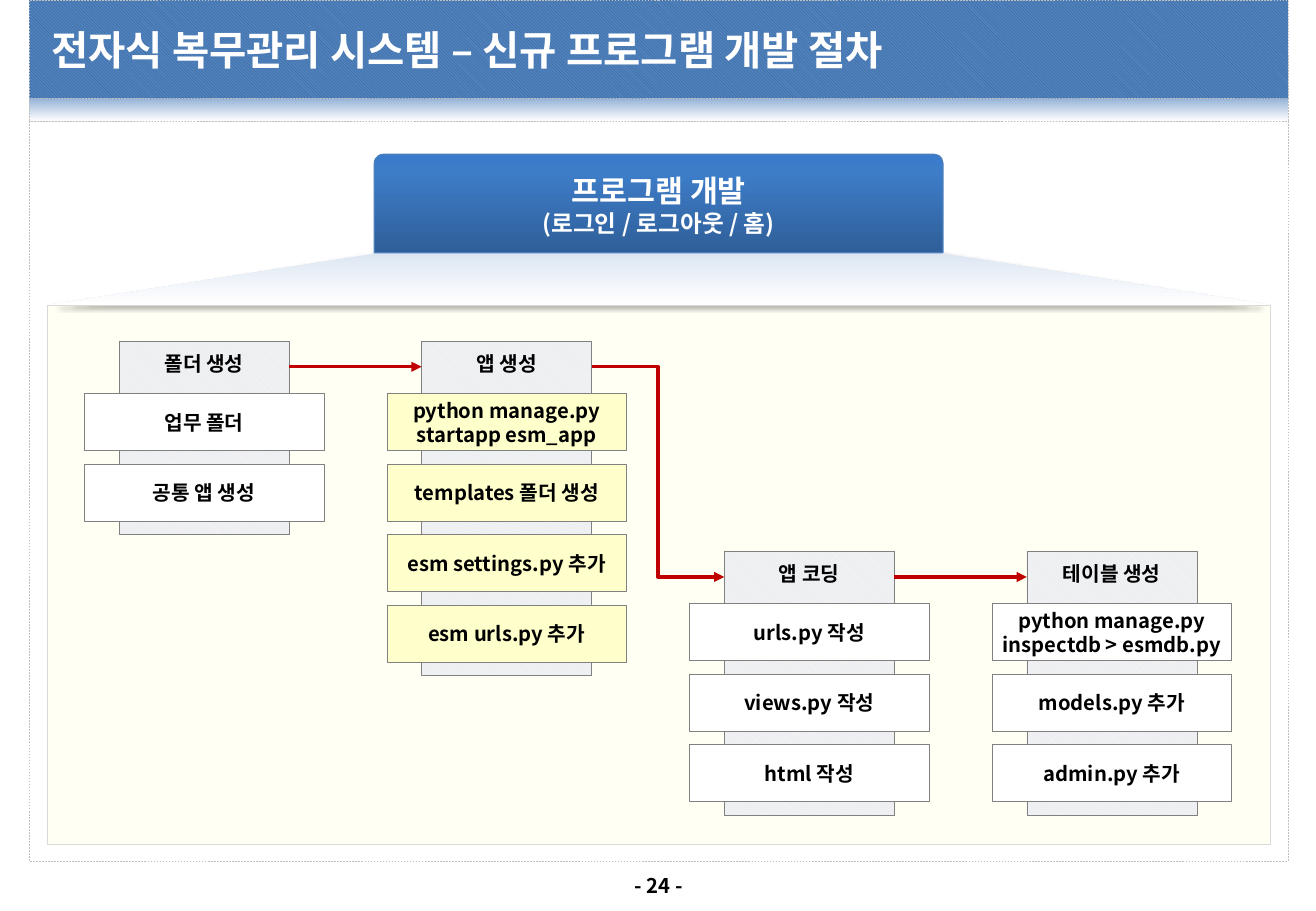
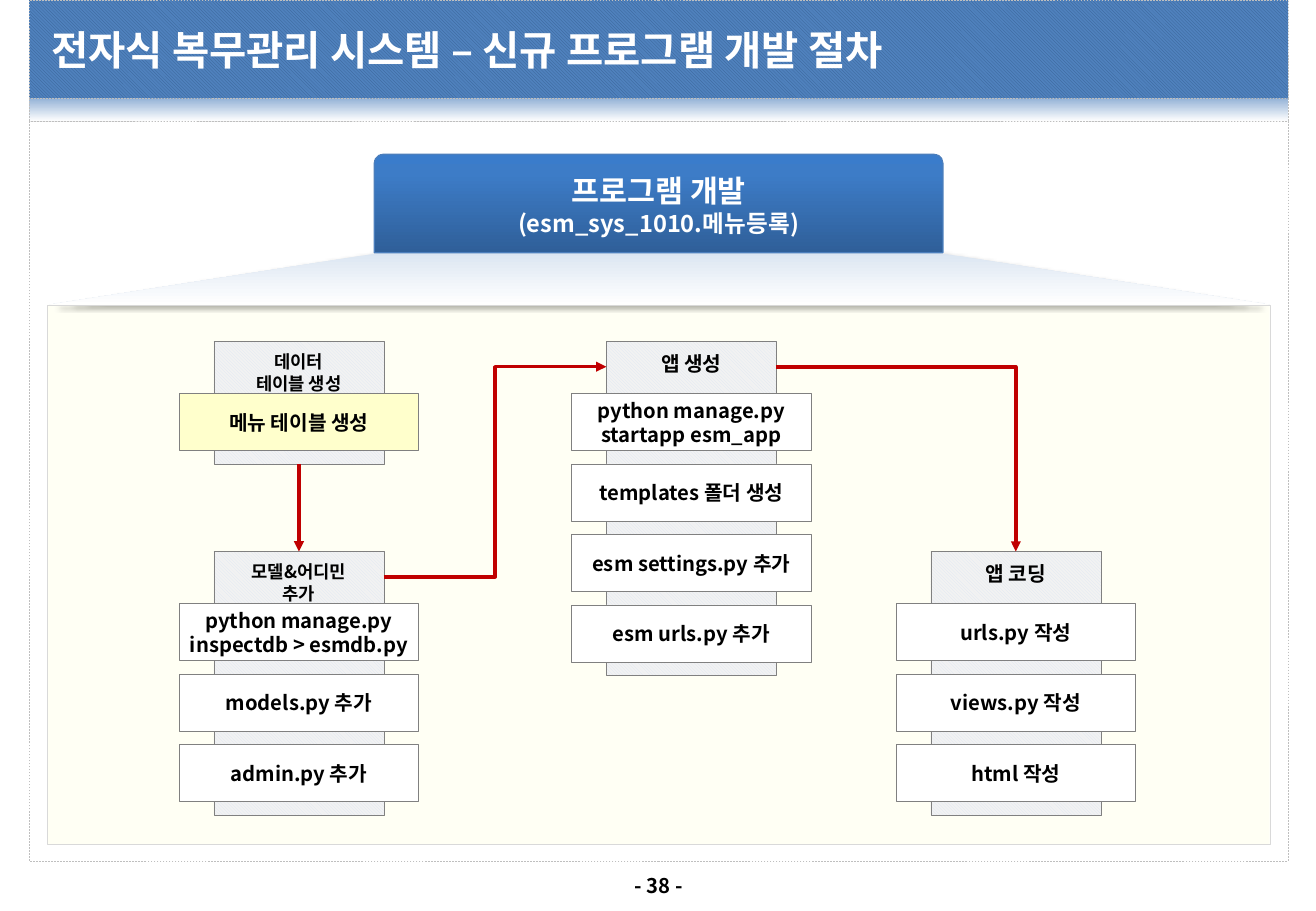
from lxml import etree
from pptx import Presentation
from pptx.dml.color import RGBColor
from pptx.enum.dml import MSO_LINE, MSO_PATTERN
from pptx.enum.shapes import MSO_CONNECTOR, MSO_SHAPE
from pptx.enum.text import MSO_ANCHOR, MSO_AUTO_SIZE, PP_ALIGN
from pptx.oxml.ns import qn
from pptx.util import Inches, Pt

RECT, TRAPEZOID, TAB = MSO_SHAPE.RECTANGLE, MSO_SHAPE.TRAPEZOID, MSO_SHAPE.ROUND_2_SAME_RECTANGLE
STRAIGHT, ELBOW = MSO_CONNECTOR.STRAIGHT, MSO_CONNECTOR.ELBOW
TOP, MIDDLE = MSO_ANCHOR.TOP, MSO_ANCHOR.MIDDLE
LEFT, CENTER = PP_ALIGN.LEFT, PP_ALIGN.CENTER
DIAGONAL = MSO_PATTERN.LIGHT_DOWNWARD_DIAGONAL
DASH, NO_FIT = MSO_LINE.DASH, MSO_AUTO_SIZE.NONE

FONT = "Noto Sans CJK KR"
C = {
    "white": "FFFFFF", "black": "000000", "frame": "BFBFBF", "band": "4F81BD",
    "band_hatch": "376092", "fade": "95B3D7", "beam": "DCE6F2", "column": "F2F2F2",
    "tab_low": "2F5F99", "tab_mid": "3D7CC7", "tab_high": "3A7CCB", "tab_line": "4B7EBC",
    "yellow": "FFFFCC", "panel_line": "D9D9D9", "box_line": "808080", "arrow": "C00000",
}
TITLE = "전자식 복무관리 시스템 – 신규 프로그램 개발 절차"
HEADING = "프로그램 개발"

START_APP = ["python manage.py startapp esm_app", "templates 폴더 생성",
             "esm settings.py 추가", "esm urls.py 추가"]
CODING = ["urls.py 작성", "views.py 작성", "html 작성"]
MODELS = ["python manage.py inspectdb > esmdb.py", "models.py 추가", "admin.py 추가"]

UPPER, LOWER = 2.81, 4.54
FIRST_X, STEP_X = 0.98, 2.49
SLIDES = [
    {"page": "- 24 -", "subtitle": "(로그인 / 로그아웃 / 홈)",
     "columns": [
         (FIRST_X, UPPER, ["폴더 생성"], ["업무 폴더", "공통 앱 생성"], "white"),
         (FIRST_X + STEP_X, UPPER, ["앱 생성"], START_APP, "yellow"),
         (FIRST_X + 2 * STEP_X, LOWER, ["앱 코딩"], CODING, "white"),
         (FIRST_X + 3 * STEP_X, LOWER, ["테이블 생성"], MODELS, "white")],
     "arrows": [(0, 1, "side"), (1, 2, "side"), (2, 3, "side")]},
    {"page": "- 38 -", "subtitle": "(esm_sys_1010.메뉴등록)",
     "columns": [
         (1.76, UPPER, ["데이터", "테이블 생성"], ["메뉴 테이블 생성"], "yellow"),
         (1.76, LOWER, ["모델&어디민", "추가"], MODELS, "white"),
         (4.99, UPPER, ["앱 생성"], START_APP, "white"),
         (7.66, LOWER, ["앱 코딩"], CODING, "white")],
     "arrows": [(0, 1, "down"), (1, 2, "side"), (2, 3, "corner")]},
]

COL_W, HEAD_H = 1.4, 0.43
BOX_W, BOX_H, BOX_STEP = 1.97, 0.47, 0.58
ARROW_Y = 0.21


def rgb(name):
    return RGBColor.from_string(C[name])


def write(tf, lines, color, align=CENTER, anchor=MIDDLE, inset_y=0.04, wrap=True):
    tf.auto_size = NO_FIT
    tf.word_wrap = wrap
    tf.vertical_anchor = anchor
    tf.margin_left = tf.margin_right = Inches(0.04)
    tf.margin_top = tf.margin_bottom = Inches(inset_y)
    for i, (text, size) in enumerate(lines):
        p = tf.add_paragraph() if i else tf.paragraphs[0]
        p.alignment = align
        p.line_spacing = Pt(size * 1.2)
        r = p.add_run()
        r.text = text
        r.font.name, r.font.size, r.font.bold = FONT, Pt(size), True
        r.font.color.rgb = rgb(color)
        etree.SubElement(r.font._element, qn("a:ea"), typeface=FONT)


def shape(s, kind, box, fill=None, line=None, width=0.25):
    sp = s.shapes.add_shape(kind, *map(Inches, box))
    sp.shadow.inherit = False
    if fill:
        sp.fill.solid()
        sp.fill.fore_color.rgb = rgb(fill)
    if line:
        sp.line.color.rgb = rgb(line)
        sp.line.width = Pt(width)
    else:
        sp.line.fill.background()
    return sp


def hatch(sp, fore, back):
    sp.fill.patterned()
    sp.fill.pattern = DIAGONAL
    sp.fill.fore_color.rgb, sp.fill.back_color.rgb = rgb(fore), rgb(back)


def gradient(sp, stops, angle):
    sp.fill.gradient()
    sp.fill.gradient_angle = angle
    gs_list = sp.element.spPr.find(".//" + qn("a:gsLst"))
    for gs in list(gs_list):
        gs_list.remove(gs)
    for pos, name in stops:
        gs = etree.SubElement(gs_list, qn("a:gs"), pos=str(pos * 1000))
        etree.SubElement(gs, qn("a:srgbClr"), val=C[name])


def set_alpha(color, percent):
    etree.SubElement(color, qn("a:alpha"), val=str(percent * 1000))


def build_layout(layout, s):
    for ph in list(layout.placeholders):
        if ph.placeholder_format.idx:
            ph.element.getparent().remove(ph.element)
    title = layout.placeholders[0]
    title.left, title.top, title.width, title.height = map(Inches, (0.38, 0.08, 10.09, 0.66))
    fade = shape(s, RECT, (0.24, 0.81, 10.36, 0.19), None, "frame")
    gradient(fade, [(0, "fade"), (100, "white")], 270)
    body = shape(s, RECT, (0.24, 1, 10.36, 6.09), "white", "frame")
    band = shape(s, RECT, (0.24, 0, 10.36, 0.81), None, "frame")
    band.rotation = 180
    hatch(band, "band_hatch", "band")
    for sp in (fade, body, band):
        sp.line.dash_style = DASH
        title.element.addprevious(sp.element)


def add_heading(s, subtitle):
    beam = shape(s, TRAPEZOID, (0.4, 2.08, 10.05, 0.43))
    beam.adjustments[0] = 6.38
    gradient(beam, [(0, "beam"), (100, "white")], 270)
    effects = beam.element.spPr.find(qn("a:effectLst"))
    shadow = etree.SubElement(effects, qn("a:outerShdw"), blurRad=str(Pt(3.1)),
                              dist=str(Pt(1.6)), dir="5400000", rotWithShape="0")
    set_alpha(etree.SubElement(shadow, qn("a:srgbClr"), val=C["black"]), 38)

    tab = shape(s, TAB, (3.08, 1.27, 4.68, 0.81), None, "tab_line", 0.75)
    tab.adjustments[0], tab.adjustments[1] = 0.09, 0
    gradient(tab, [(0, "tab_low"), (80, "tab_mid"), (100, "tab_high")], 90)
    write(tab.text_frame, [(HEADING, 18), (subtitle, 14)], "white")

    panel = shape(s, RECT, (0.39, 2.51, 10.06, 4.44), "yellow", "panel_line")
    set_alpha(panel.element.spPr.find(qn("a:solidFill"))[0], 20)


def column_height(items):
    return HEAD_H + BOX_STEP * len(items)


def add_column(s, x, y, head, items, fill):
    column = shape(s, RECT, (x, y, COL_W, column_height(items)), None, "box_line")
    hatch(column, "beam", "column")
    size = 12 if len(head) == 1 else 10.5
    write(column.text_frame, [(text, size) for text in head], "black", anchor=TOP, inset_y=0.08)
    for i, text in enumerate(items):
        box = (x - (BOX_W - COL_W) / 2, y + HEAD_H + i * BOX_STEP, BOX_W, BOX_H)
        item = shape(s, RECT, box, fill, "box_line")
        write(item.text_frame, [(text, 12)], "black")


def add_arrow(s, source, target, route):
    x1, y1, _, items, _ = source
    x2, y2 = target[:2]
    start, end = (x1 + COL_W, y1 + ARROW_Y), (x2, y2 + ARROW_Y)
    if route == "down":
        start = (x1 + COL_W / 2, y1 + column_height(items))
    if route != "side":
        end = (x2 + COL_W / 2, y2)
    kind = STRAIGHT if start[0] == end[0] or start[1] == end[1] else ELBOW
    cn = s.shapes.add_connector(kind, *map(Inches, start + end))
    cn.line.color.rgb = rgb("arrow")
    cn.line.width = Pt(2)
    spPr = cn._element.spPr
    if route == "corner":
        spPr.find(qn("a:prstGeom")).set("prst", "bentConnector2")
    etree.SubElement(spPr.find(qn("a:ln")), qn("a:tailEnd"), type="triangle")
    etree.SubElement(spPr, qn("a:effectLst"))


def main():
    prs = Presentation()
    prs.slide_width, prs.slide_height = Inches(10.83), Inches(7.5)
    layout = prs.slide_layouts[5]
    for i, data in enumerate(SLIDES):
        s = prs.slides.add_slide(layout)
        if i == 0:
            build_layout(layout, s)
        write(s.shapes.title.text_frame, [(TITLE, 24)], "white", align=LEFT)
        add_heading(s, data["subtitle"])
        for column in data["columns"]:
            add_column(s, *column)
        for a, b, route in data["arrows"]:
            add_arrow(s, data["columns"][a], data["columns"][b], route)
        page = s.shapes.add_textbox(*map(Inches, (5.08, 7.14, 0.68, 0.3)))
        write(page.text_frame, [(data["page"], 12)], "black", wrap=False)
    prs.save("out.pptx")


if __name__ == "__main__":
    main()
